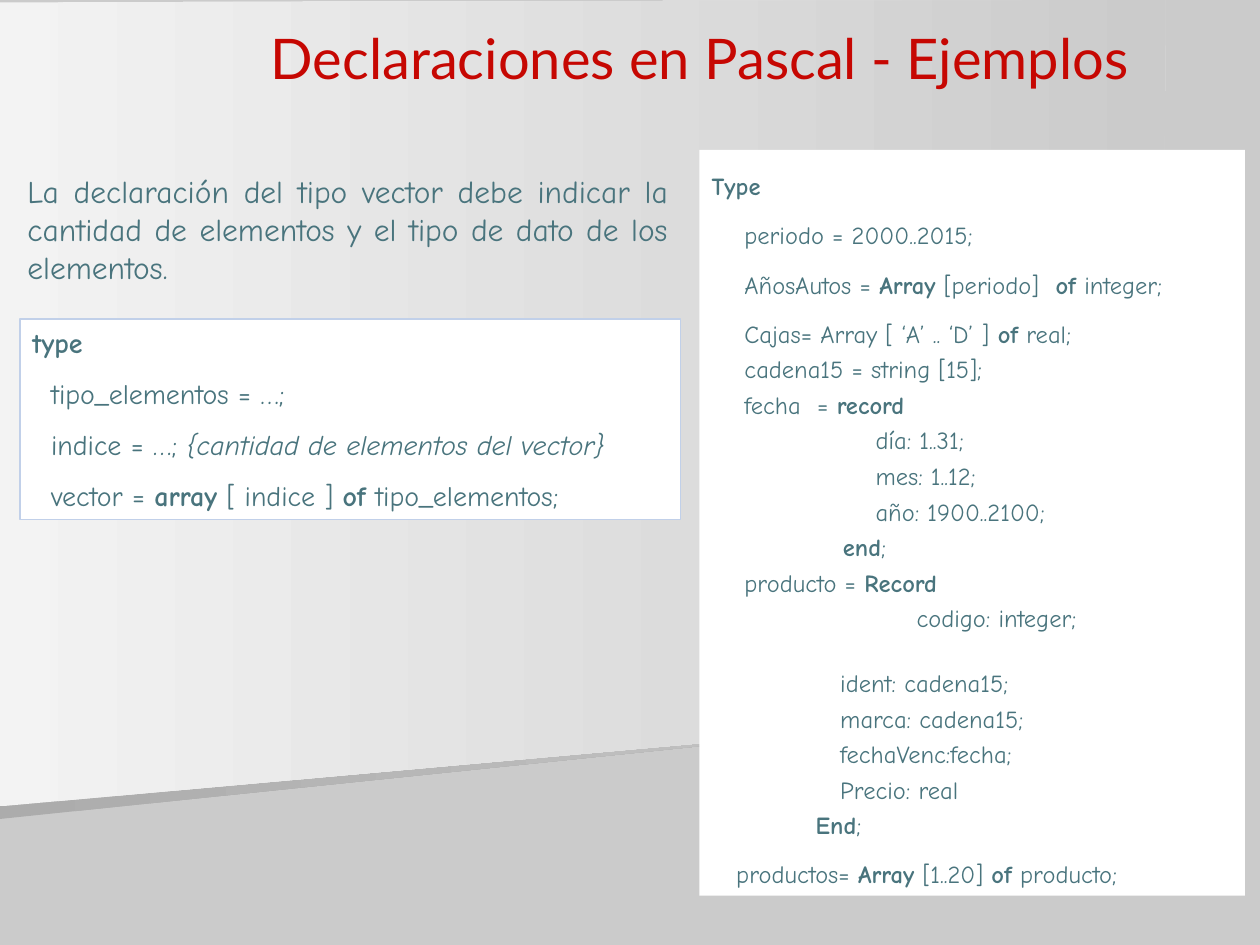
from dataclasses import dataclass

from pptx import Presentation
from pptx import util as u
from pptx.dml.color import RGBColor
from pptx.enum import shapes, text

TEAL = "49747D"
GREY = "CBCBCB"
TEXT_FONT = "Comic Neue"


@dataclass
class Line:
    """A line of text; parts between asterisks are bold, parts in braces italic."""
    content: str
    before: float = 3.5
    spacing: float = 1.0


@dataclass
class Panel:
    left: float
    top: float
    width: float
    height: float
    size: float
    lines: list[Line]
    fill: str | None = None
    border: str | None = None
    align: text.PP_ALIGN = text.PP_ALIGN.LEFT


@dataclass
class Backdrop:
    points: list[tuple[float, float]]
    start_colour: str


def rgb(value: str) -> RGBColor:
    return RGBColor.from_string(value)


def set_format(target, values: dict) -> None:
    for name, value in values.items():
        setattr(target, name, value)


def wide(content: str, before: float = 3) -> Line:
    return Line(content, before, 1.5)


def add_span(para, content: str, size: float, colour: str, name: str, bold: bool = False) -> None:
    span = para.add_run()
    span.text = content
    set_format(span.font, {"size": u.Pt(size), "name": name, "bold": bold,
                           "italic": content.startswith("{")})
    span.font.color.rgb = rgb(colour)


def add_backdrop(slide, backdrop: Backdrop) -> None:
    points = [(u.Pt(x), u.Pt(y)) for x, y in backdrop.points]
    builder = slide.shapes.build_freeform(*points[0])
    builder.add_line_segments(points[1:], close=True)
    shape = builder.convert_to_shape()
    shape.shadow.inherit = False
    shape.line.fill.background()
    shape.fill.gradient()
    shape.fill.gradient_angle = 0
    for stop, colour, position in zip(shape.fill.gradient_stops, (backdrop.start_colour, GREY), (0, 1)):
        stop.color.rgb = rgb(colour)
        stop.position = position


def add_panel(slide, panel: Panel) -> None:
    area = [u.Pt(v) for v in (panel.left, panel.top, panel.width, panel.height)]
    if panel.fill:
        box = slide.shapes.add_shape(shapes.MSO_SHAPE.RECTANGLE, *area)
        box.shadow.inherit = False
        box.fill.solid()
        box.fill.fore_color.rgb = rgb(panel.fill)
        if panel.border:
            box.line.color.rgb = rgb(panel.border)
            box.line.width = u.Pt(0.75)
        else:
            box.line.fill.background()
    else:
        box = slide.shapes.add_textbox(*area)
    frame = box.text_frame
    set_format(frame, {"word_wrap": True, "vertical_anchor": text.MSO_ANCHOR.TOP,
                       "margin_left": u.Pt(7.2), "margin_right": u.Pt(7.2),
                       "margin_top": u.Pt(3.6), "margin_bottom": u.Pt(3.6)})
    for index, line in enumerate(panel.lines):
        para = frame.add_paragraph() if index else frame.paragraphs[0]
        set_format(para, {"alignment": panel.align, "line_spacing": line.spacing,
                          "space_before": u.Pt(line.before if index else 0)})
        for part, content in enumerate(line.content.split("*")):
            if content:
                add_span(para, content, panel.size, TEAL, TEXT_FONT, part % 2 == 1)


def add_title(slide, content: str) -> None:
    title = slide.shapes.title
    set_format(title, {"left": u.Pt(99.4), "top": u.Pt(-10.8),
                       "width": u.Pt(601.2), "height": u.Pt(66.2)})
    set_format(title.text_frame, {"word_wrap": True, "auto_size": text.MSO_AUTO_SIZE.NONE,
                                  "vertical_anchor": text.MSO_ANCHOR.BOTTOM})
    para = title.text_frame.paragraphs[0]
    para.alignment = text.PP_ALIGN.CENTER
    add_span(para, content, 32, "C60702", "Lato")
    slide.shapes._spTree.append(title._element)  # in front of the backdrops


BACKDROPS = [
    Backdrop([(644.4, 401), (0, 468), (0, 336.2), (644.4, 180)], "ACACAC"),
    Backdrop([(663.8, 401), (0, 460.8), (0, 1.4), (666, 0)], "F3F3F3"),
]

PANELS = [
    Panel(8.6, 95, 380.2, 72, 18, [
        Line("La declaración del tipo vector debe indicar la cantidad de elementos "
             "y el tipo de dato de los elementos."),
    ], align=text.PP_ALIGN.JUSTIFY),
    Panel(11.5, 182.2, 377.3, 114.5, 16, [
        Line("*type*"),
        Line("  tipo_elementos = …;", 10),
        Line("  indice = …; *{cantidad de elementos del vector}".replace("*{", "**{"), 10),
        Line("  vector = *array* [ indice ] *of* tipo_elementos;", 10),
    ], "FFFFFF", "C1D0E9"),
    Panel(399.6, 85.7, 311.8, 426.2, 14, [
        wide("*Type*"),
        wide("    periodo = 2000..2015;"),
        wide("    AñosAutos = *Array* [periodo]  *of* integer;"),
        wide("    Cajas= Array [ ‘A’ .. ‘D’ ] *of* real;"),
        Line("    cadena15 = string [15];"),
        Line("    fecha  = *record*"),
        Line("                    día: 1..31;"),
        Line("                    mes: 1..12;"),
        Line("                    año: 1900..2100;"),
        Line("                *end*;"),
        Line("    producto = *Record*"),
        Line("                         codigo: integer;"),
        Line("\t        ident: cadena15;", 20.3),
        Line("\t        marca: cadena15;"),
        Line("\t        fechaVenc:fecha;"),
        Line("\t        Precio: real"),
        Line("\t     *End*;"),
        wide("   productos= *Array* [1..20] *of* producto;"),
    ], "FFFFFF"),
]


def main() -> None:
    deck = Presentation()
    set_format(deck, {"slide_width": u.Pt(720), "slide_height": u.Pt(540)})
    slide = deck.slides.add_slide(deck.slide_layouts.get_by_name("Title Only"))
    slide.background.fill.solid()
    slide.background.fill.fore_color.rgb = rgb(GREY)
    for backdrop in BACKDROPS:
        add_backdrop(slide, backdrop)
    add_title(slide, "Declaraciones en Pascal - Ejemplos")
    for panel in PANELS:
        add_panel(slide, panel)
    deck.save("out.pptx")


if __name__ == "__main__":
    main()
